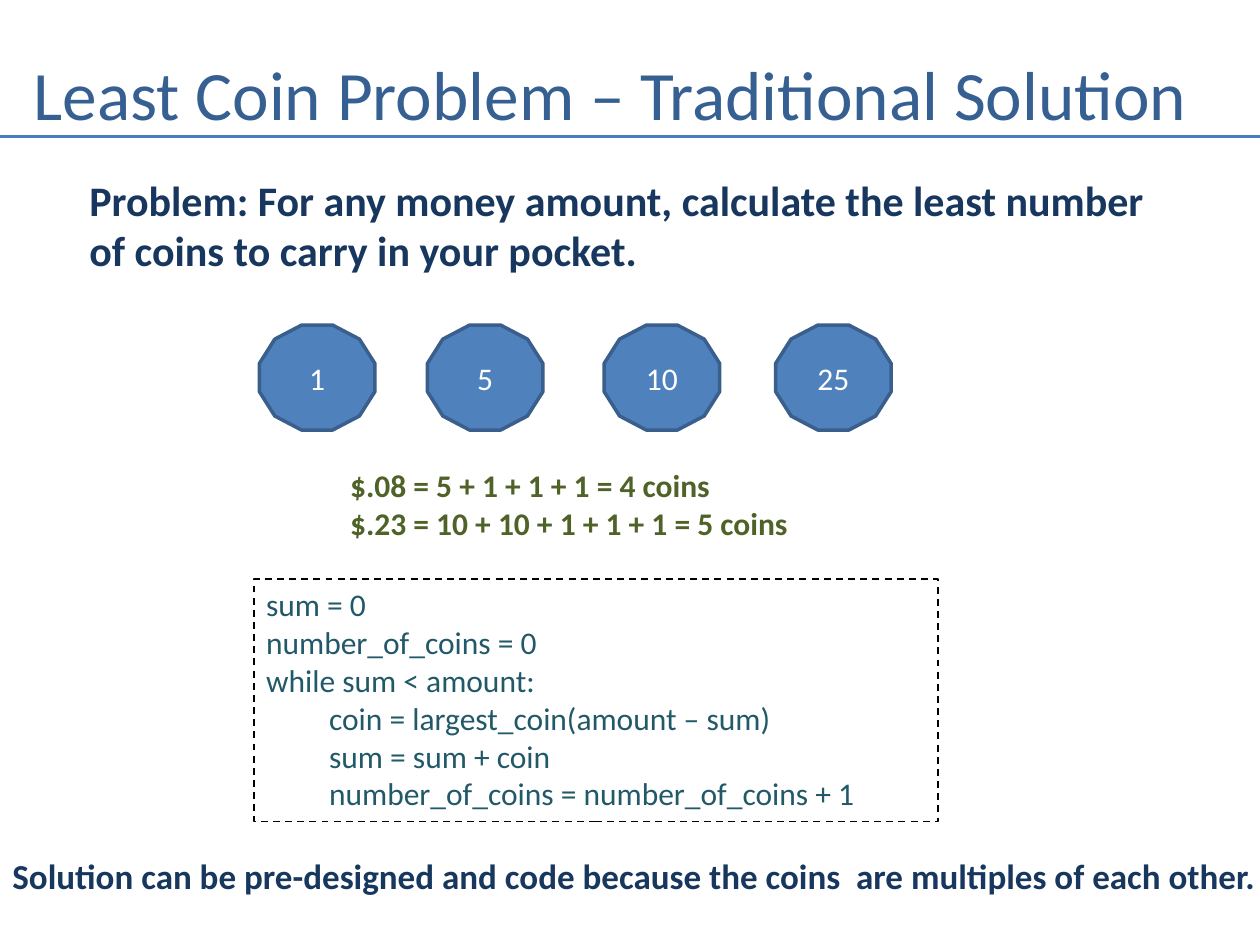
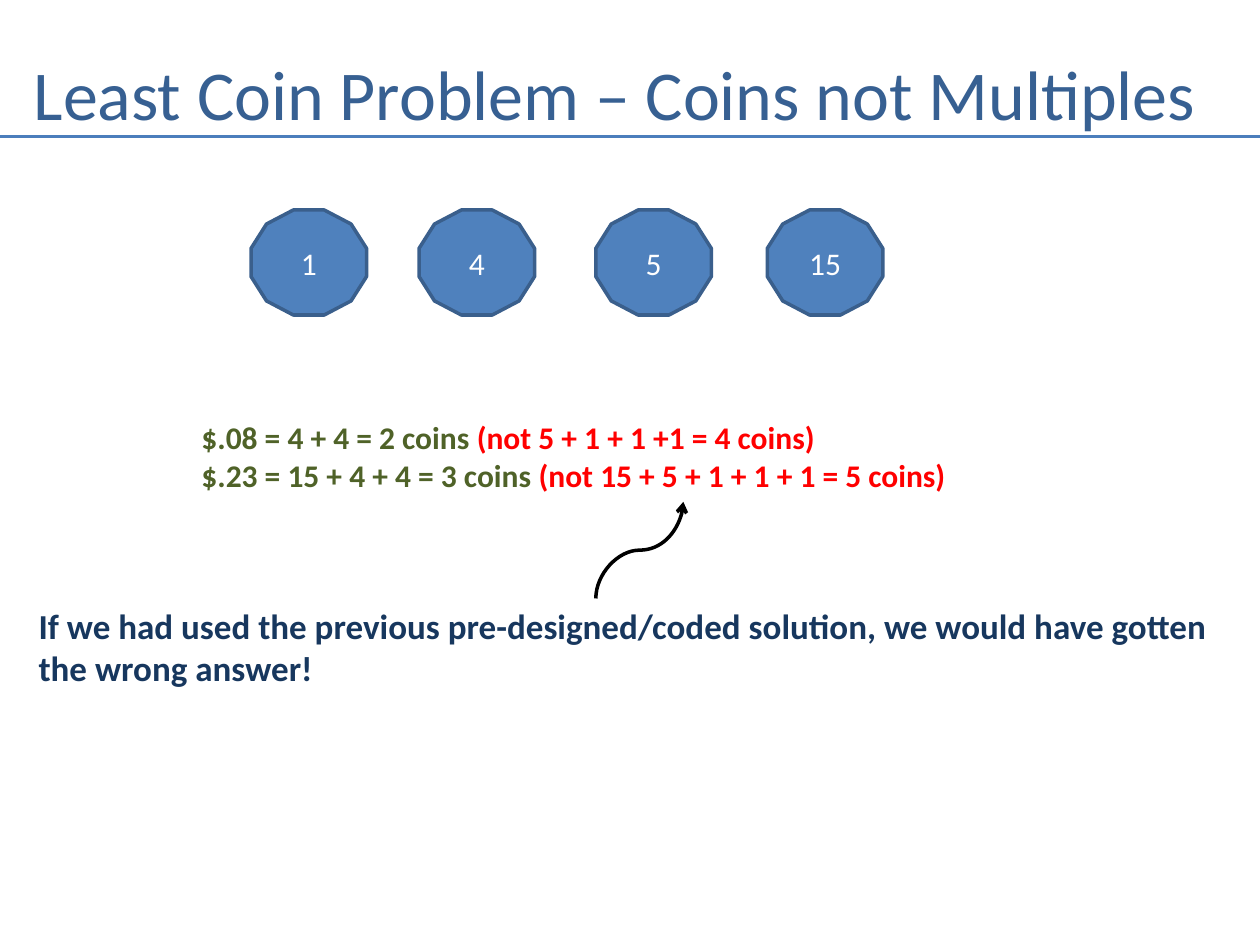
from dataclasses import dataclass

from lxml.etree import SubElement
from pptx import Presentation
from pptx.dml.color import RGBColor as RGB
from pptx.enum.dml import MSO_LINE
from pptx.enum.shapes import MSO_CONNECTOR as LINK, MSO_SHAPE as SHAPE
from pptx.enum.text import MSO_ANCHOR as ANCHOR, MSO_AUTO_SIZE as FIT, PP_ALIGN as ALIGN
from pptx.oxml.ns import qn
from pptx.util import Pt


@dataclass(frozen=True)
class Theme:
    font: str = "Calibri"
    title: RGB = RGB(0x37, 0x60, 0x92)
    rule: RGB = RGB(0x4B, 0x7E, 0xBC)
    coin: RGB = RGB(0x4F, 0x81, 0xBD)
    coin_edge: RGB = RGB(0x3A, 0x5F, 0x8C)
    coin_text: RGB = RGB(0xFF, 0xFF, 0xFF)
    statement: RGB = RGB(0x17, 0x37, 0x5E)
    right: RGB = RGB(0x4F, 0x62, 0x28)
    wrong: RGB = RGB(0xFF, 0x00, 0x00)
    code: RGB = RGB(0x21, 0x59, 0x68)
    ink: RGB = RGB(0x00, 0x00, 0x00)
    problem_size: float = 24
    remark_size: float = 20
    body_size: float = 18


THEME = Theme()

# Content: boxes are (left, top, width, height) in points.
TRADITIONAL = {
    "title": "Least Coin Problem – Traditional Solution",
    "title_size": 39.6,
    "coins": [1, 5, 10, 25],
    "coins_at": (148.25, 185.75),
    "problem": ["Problem: For any money amount, calculate the least number "
                "of coins to carry in your pocket."],
    "problem_box": (44, 96, 628, 65.5),
    "sums": [("$.08 = 5 + 1 + 1 + 1 = 4 coins",),
             ("$.23 = 10 + 10 + 1 + 1 + 1 = 5 coins",)],
    "sums_box": (193, 263, 268, 51),
    "code": ["sum = 0",
             "number_of_coins = 0",
             "while sum < amount:",
             "\tcoin = largest_coin(amount – sum)",
             "\tsum = sum + coin",
             "\tnumber_of_coins = number_of_coins + 1"],
    "code_box": (145, 331, 391, 138.5),
    "remark": ["Solution can be pre-designed and code because the coins  are "
               "multiples of each other."],
    "remark_box": (0, 484.5, 738, 31.5),
}
NOT_MULTIPLES = {
    "title": "Least Coin Problem – Coins not Multiples",
    "title_size": 40,
    "coins": [1, 4, 5, 15],
    "coins_at": (143.5, 120),
    "sums": [("$.08 = 4 + 4 = 2 coins ", "(not 5 + 1 + 1 +1 = 4 coins)"),
             ("$.23 = 15 + 4 + 4 = 3 coins ", "(not 15 + 5 + 1 + 1 + 1 = 5 coins)")],
    "sums_box": (108, 235.5, 445, 51),
    "remark": ["If we had used the previous pre-designed/coded solution, "
               "we would have gotten",
               "the wrong answer!"],
    "remark_box": (15, 342, 690, 55.5),
    "arrow": (340.5, 342, 390.5, 286.75),
}

SLIDE_W, SLIDE_H = 720, 540
TITLE_BOX = (12.25, 21.5, 700, 62.5)
RULE_Y = 78
COIN_W, COIN_H = 66, 60
COIN_OFFSETS = (0, 96, 197, 295)


def style(paragraph, size, color, bold=False):
    font = paragraph.font
    font.name, font.size, font.bold = THEME.font, Pt(size), bold
    font.color.rgb = color


def add_text(slide, box, lines, size, color, bold=False, wrap=True, anchor=ANCHOR.TOP, fit=FIT.SHAPE_TO_FIT_TEXT):
    """Add a text box; a line is a string or a (right, wrong) pair of runs."""
    shape = slide.shapes.add_textbox(*map(Pt, box))
    frame = shape.text_frame
    frame.word_wrap, frame.auto_size, frame.vertical_anchor = wrap, fit, anchor
    for i, line in enumerate(lines):
        paragraph = frame.paragraphs[0] if i == 0 else frame.add_paragraph()
        runs = (line,) if isinstance(line, str) else line
        for j, text in enumerate(runs):
            run = paragraph.add_run()
            run.text = text
            if j:
                run.font.color.rgb = THEME.wrong
        style(paragraph, size, color, bold)
    return shape


def add_link(slide, kind, ends, color, width):
    link = slide.shapes.add_connector(kind, *map(Pt, ends))
    link.line.color.rgb, link.line.width = color, Pt(width)
    SubElement(link._element.spPr, qn("a:effectLst"))
    return link


def add_rising_arrow(slide, ends):
    """Add an S-curve that leaves and arrives vertically: a quarter-turned connector."""
    x1, y1, x2, y2 = ends
    mid_x, mid_y = (x1 + x2) / 2, (y1 + y2) / 2
    half_w, half_h = abs(y2 - y1) / 2, abs(x2 - x1) / 2
    turned = (mid_x + half_w, mid_y + half_h, mid_x - half_w, mid_y - half_h)
    arrow = add_link(slide, LINK.CURVE, turned, THEME.ink, 2)
    arrow._element.spPr.find(qn("a:xfrm")).set("rot", str(90 * 60000))
    SubElement(arrow.line._get_or_add_ln(), qn("a:tailEnd"), type="arrow")


def add_coins(slide, values, left, top):
    for value, offset in zip(values, COIN_OFFSETS):
        coin = slide.shapes.add_shape(SHAPE.DODECAGON, Pt(left + offset), Pt(top), Pt(COIN_W), Pt(COIN_H))
        coin.shadow.inherit = False
        coin.fill.solid()
        coin.fill.fore_color.rgb = THEME.coin
        coin.line.color.rgb, coin.line.width = THEME.coin_edge, Pt(2)
        coin.text_frame.text = str(value)
        coin.text_frame.vertical_anchor = ANCHOR.MIDDLE
        label = coin.text_frame.paragraphs[0]
        label.alignment = ALIGN.CENTER
        style(label, THEME.body_size, THEME.coin_text)


def build_slide(deck, content):
    slide = deck.slides.add_slide(deck.slide_layouts[6])
    add_text(slide, TITLE_BOX, [content["title"]], content["title_size"], THEME.title,
             anchor=ANCHOR.MIDDLE, fit=FIT.NONE)
    add_link(slide, LINK.STRAIGHT, (0, RULE_Y, SLIDE_W, RULE_Y), THEME.rule, 1.5)
    add_coins(slide, content["coins"], *content["coins_at"])
    if "problem" in content:
        add_text(slide, content["problem_box"], content["problem"],
                 THEME.problem_size, THEME.statement, bold=True)
    add_text(slide, content["sums_box"], content["sums"],
             THEME.body_size, THEME.right, bold=True, wrap=False)
    if "code" in content:
        code = add_text(slide, content["code_box"], content["code"],
                        THEME.body_size, THEME.code, wrap=False)
        code.line.color.rgb, code.line.width = THEME.ink, Pt(1)
        code.line.dash_style = MSO_LINE.DASH
    add_text(slide, content["remark_box"], content["remark"],
             THEME.remark_size, THEME.statement, bold=True)
    if "arrow" in content:
        add_rising_arrow(slide, content["arrow"])


def main():
    deck = Presentation()
    deck.slide_width, deck.slide_height = Pt(SLIDE_W), Pt(SLIDE_H)
    for content in (TRADITIONAL, NOT_MULTIPLES):
        build_slide(deck, content)
    deck.save("out.pptx")


if __name__ == "__main__":
    main()
